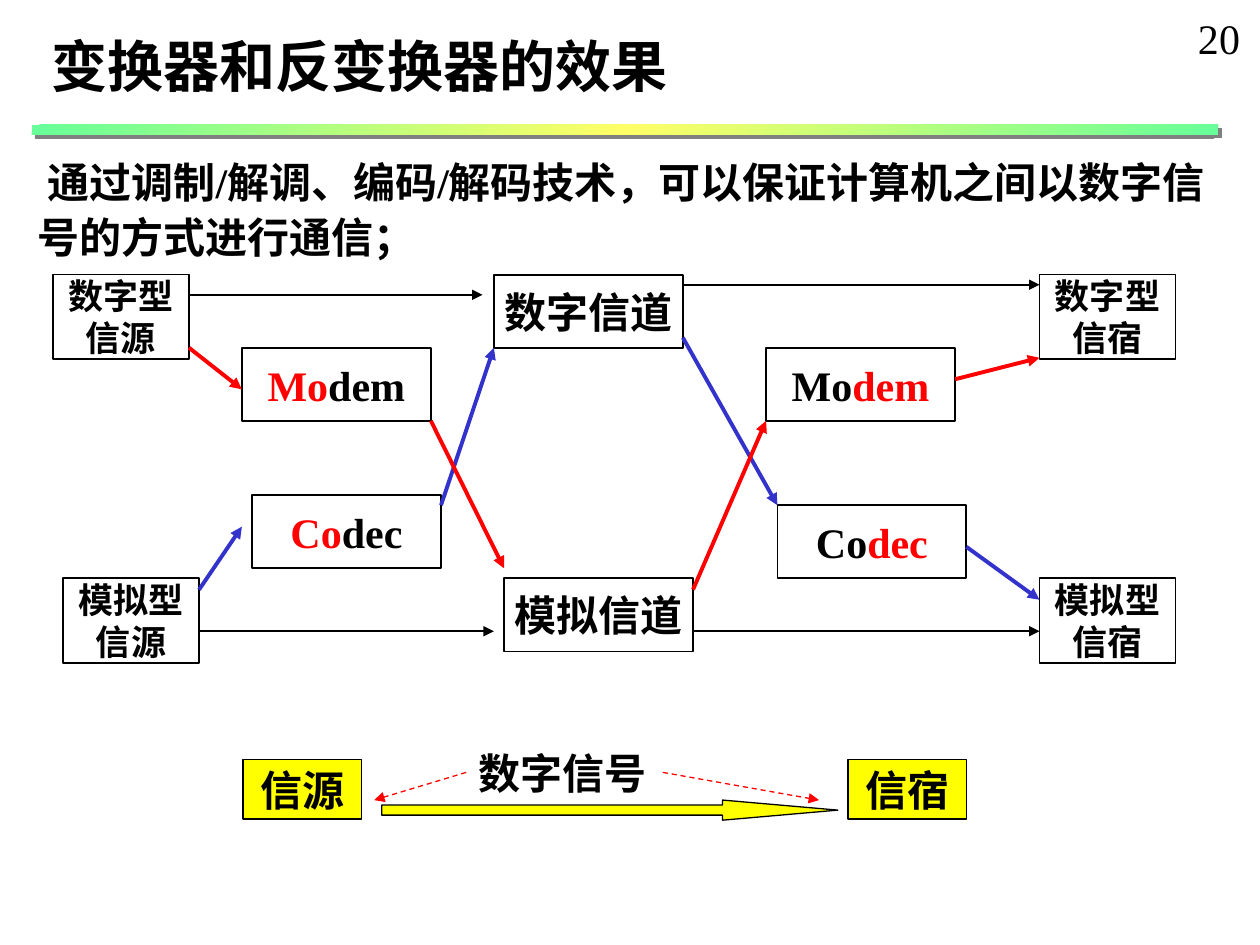
from collections import namedtuple
from copy import deepcopy
from dataclasses import dataclass

from lxml.etree import SubElement
from pptx import Presentation
from pptx.dml.color import RGBColor as RGB
from pptx.enum.dml import MSO_LINE
from pptx.enum.shapes import MSO_CONNECTOR, MSO_SHAPE
from pptx.enum.text import MSO_ANCHOR as ANCHOR, MSO_AUTO_SIZE as AUTO_SIZE, PP_ALIGN as ALIGN
from pptx.oxml.ns import qn
from pptx.util import Inches, Pt

Box = namedtuple("Box", "left top width height")


@dataclass(frozen=True)
class Theme:
    font: str = "Times New Roman"
    title_size: int = 32
    text_size: int = 24
    terminal_size: int = 20
    black: RGB = RGB(0, 0, 0)
    white: RGB = RGB(255, 255, 255)
    red: RGB = RGB(255, 0, 0)
    blue: RGB = RGB(0x33, 0x33, 0xCC)
    yellow: RGB = RGB(255, 255, 0)
    bar_edge: RGB = RGB(0x66, 0xFF, 0x99)
    bar_middle: RGB = RGB(0xFF, 0xFF, 0x66)
    bar_shadow: str = "808080"
    thin: float = 0.75
    normal: float = 1
    thick: float = 2.25


THEME = Theme()


def within(region, left, top, width, height):
    """Turn a place inside a region into a place on the slide."""
    return Box(region.left + left, region.top + top, width, height)


def inches(box):
    return [Inches(value) for value in box]


def style(paragraph, size=THEME.text_size, bold=True, align=ALIGN.LEFT, color=THEME.black):
    paragraph.alignment = align
    font = paragraph.font
    font.name, font.size, font.bold = THEME.font, Pt(size), bold
    if color is not None:
        font.color.rgb = color


def add_text(slide, box, text, wrap=False, **format):
    frame = slide.shapes.add_textbox(*inches(box)).text_frame
    frame.word_wrap = wrap
    paragraph = frame.paragraphs[0]
    paragraph.text = text
    style(paragraph, **format)
    return paragraph


def add_block(slide, box, fill, width, kind=MSO_SHAPE.RECTANGLE):
    shape = slide.shapes.add_shape(kind, *inches(box))
    shape.shadow.inherit = False
    shape.fill.solid()
    shape.fill.fore_color.rgb = fill
    shape.line.color.rgb = THEME.black
    shape.line.width = Pt(width)
    return shape


def add_node(slide, box, lines, size=THEME.text_size, fill=THEME.white, width=THEME.normal):
    """Add a labelled rectangle; a line is a string or a list of (text, colour)."""
    frame = add_block(slide, box, fill, width).text_frame
    frame.word_wrap = False
    frame.vertical_anchor = ANCHOR.MIDDLE
    for index, line in enumerate(lines):
        paragraph = frame.add_paragraph() if index else frame.paragraphs[0]
        if isinstance(line, str):
            paragraph.text = line
            style(paragraph, size, align=ALIGN.CENTER)
        else:
            style(paragraph, size, align=ALIGN.CENTER, color=None)
            for text, color in line:
                run = paragraph.add_run()
                run.text = text
                run.font.color.rgb = color


def add_arrow(slide, region, start, end, color, width, dashed=False):
    points = [Inches(value) for x, y in (start, end) for value in (region.left + x, region.top + y)]
    connector = slide.shapes.add_connector(MSO_CONNECTOR.STRAIGHT, *points)
    connector.line.color.rgb = color
    connector.line.width = Pt(width)
    if dashed:
        connector.line.dash_style = MSO_LINE.DASH
    SubElement(connector.line._get_or_add_ln(), qn("a:tailEnd"), type="triangle")
    SubElement(connector._element.spPr, qn("a:effectLst"))


def place_title(slide, box, text):
    title = slide.shapes.title
    title.left, title.top, title.width, title.height = inches(box)
    frame = title.text_frame
    frame.text = text
    frame.auto_size = AUTO_SIZE.NONE
    frame.vertical_anchor = ANCHOR.TOP
    style(frame.paragraphs[0], THEME.title_size)


def add_title_bar(slide, box):
    bar = slide.shapes.add_shape(MSO_SHAPE.RECTANGLE, *inches(box))
    bar.line.fill.background()
    bar.fill.gradient()
    bar.fill.gradient_angle = 315
    stop_list = bar._element.spPr.find(".//" + qn("a:gsLst"))
    stop_list.append(deepcopy(stop_list[0]))
    colors = (THEME.bar_edge, THEME.bar_middle, THEME.bar_edge)
    for index, (stop, color) in enumerate(zip(bar.fill.gradient_stops, colors)):
        stop.position = index / 2
        stop.color.rgb = color
    bar.shadow.inherit = False
    effects = bar._element.spPr.find(qn("a:effectLst"))
    shadow = SubElement(effects, qn("a:outerShdw"), dist=str(Pt(2.8)), dir="2700000",
                        algn="ctr", rotWithShape="0")
    SubElement(shadow, qn("a:srgbClr"), val=THEME.bar_shadow)


def add_statement(slide, box, text):
    paragraph = add_text(slide, box, text, wrap=True)
    paragraph.line_spacing = 1.1
    paragraph._p.get_or_add_pPr().set("indent", str(Inches(0.08)))


def add_channel_diagram(slide, region):
    terminals = [
        (0, 0, "数字型", "信源"), (0.08, 2.41, "模拟型", "信源"),
        (7.83, 0, "数字型", "信宿"), (7.83, 2.41, "模拟型", "信宿"),
    ]
    for left, top, *lines in terminals:
        add_node(slide, within(region, left, top, 1.08, 0.67), lines, THEME.terminal_size)

    sending, receiving = (THEME.red, THEME.black), (THEME.black, THEME.red)
    converters = [
        (1.5, 0.58, ("Mo", "dem"), sending), (1.58, 1.75, ("Co", "dec"), sending),
        (5.66, 0.58, ("Mo", "dem"), receiving), (5.75, 1.83, ("Co", "dec"), receiving),
    ]
    channels = [(3.5, 0, "数字信道"), (3.58, 2.41, "模拟信道")]
    middle = [(left, top, list(zip(parts, colors))) for left, top, parts, colors in converters]
    for left, top, line in middle + channels:
        add_node(slide, within(region, left, top, 1.5, 0.58), [line])

    routes = [
        (THEME.blue, THEME.thick, [
            ((1.16, 2.5), (1.5, 2)), ((3.08, 1.83), (3.5, 0.58)),
            ((5, 0.5), (5.75, 1.83)), ((7.25, 2.16), (7.83, 2.58))]),
        (THEME.black, THEME.normal, [
            ((1.08, 0.16), (3.41, 0.16)), ((5, 0.08), (7.83, 0.08)),
            ((1.16, 2.83), (3.5, 2.83)), ((5.08, 2.83), (7.83, 2.83))]),
        (THEME.red, THEME.thick, [
            ((1.08, 0.58), (1.5, 0.91)), ((3, 1.16), (3.58, 2.33)),
            ((5.08, 2.5), (5.66, 1.16)), ((7.16, 0.83), (7.83, 0.66))]),
    ]
    for color, width, arrows in routes:
        for start, end in arrows:
            add_arrow(slide, region, start, end, color, width)


def add_signal_summary(slide, region):
    for left, text in ((0, "信源"), (4.8, "信宿")):
        add_node(slide, within(region, left, 0.15, 0.94, 0.47), [text],
                 fill=THEME.yellow, width=THEME.thin)
    arrow = add_block(slide, within(region, 1.1, 0.47, 3.62, 0.16), THEME.yellow, THEME.thin,
                      MSO_SHAPE.RIGHT_ARROW)
    arrow.adjustments[0] = 0.5
    arrow.adjustments[1] = 5.73
    add_text(slide, within(region, 1.77, 0, 1.56, 0.51), "数字信号")
    for start, end in (((1.77, 0.25), (1.04, 0.47)), ((3.33, 0.25), (4.57, 0.47))):
        add_arrow(slide, region, start, end, THEME.red, THEME.thin, dashed=True)


def main():
    presentation = Presentation()
    presentation.slide_width, presentation.slide_height = Inches(10), Inches(7.5)
    slide = presentation.slides.add_slide(presentation.slide_layouts[5])
    add_text(slide, Box(9.41, 0.05, 0.54, 0.5), "20", bold=False)
    place_title(slide, Box(0.31, 0.2, 6.43, 0.63), "变换器和反变换器的效果")
    add_title_bar(slide, Box(0.25, 0.99, 9.42, 0.08))
    add_channel_diagram(slide, Box(0.42, 2.18, 8.91, 3.08))
    add_statement(slide, Box(0.2, 1.15, 9.53, 0.98),
                  "通过调制/解调、编码/解码技术，可以保证计算机之间以数字信号的方式进行通信；")
    add_signal_summary(slide, Box(1.93, 5.88, 5.74, 0.63))
    presentation.save("out.pptx")


if __name__ == "__main__":
    main()
